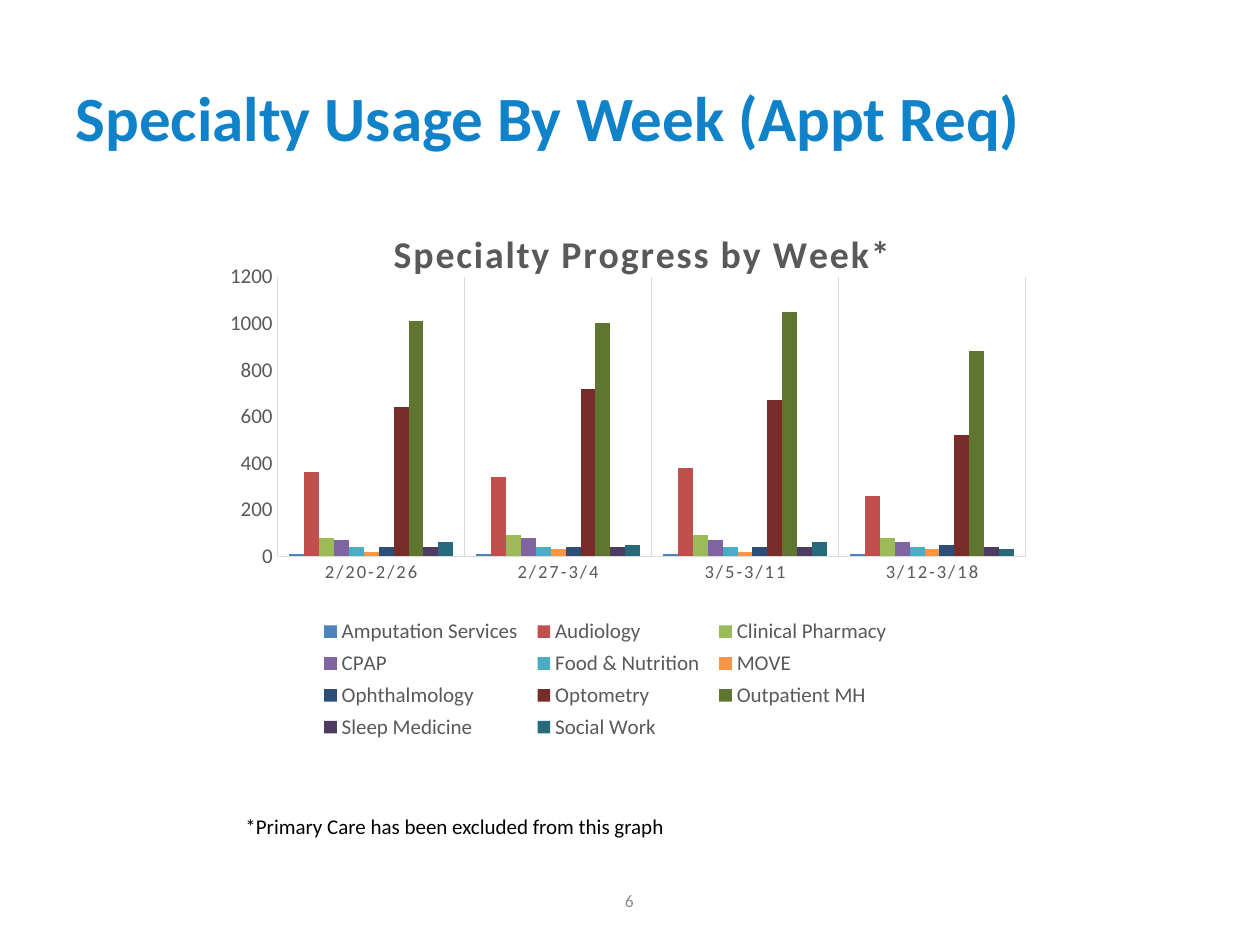
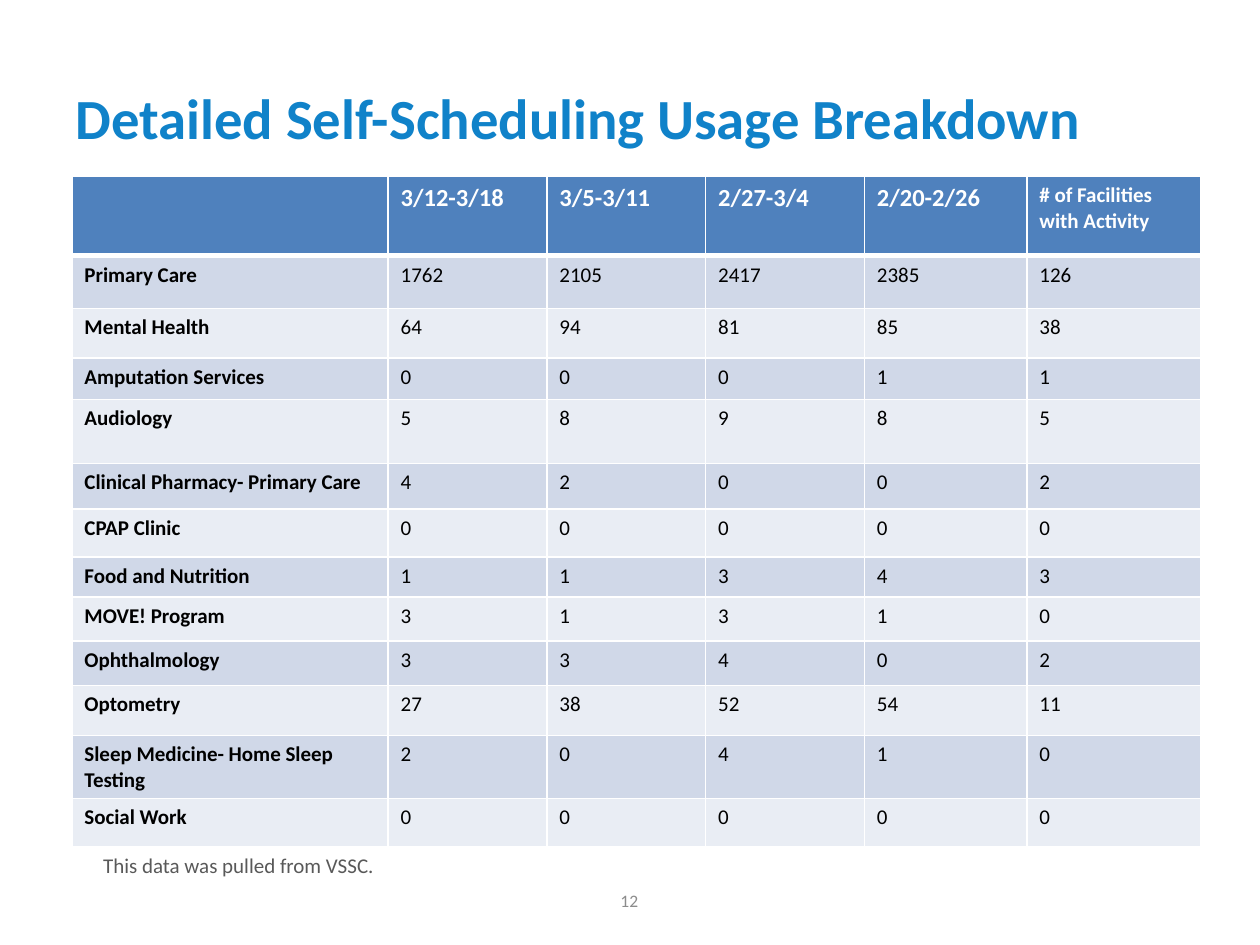
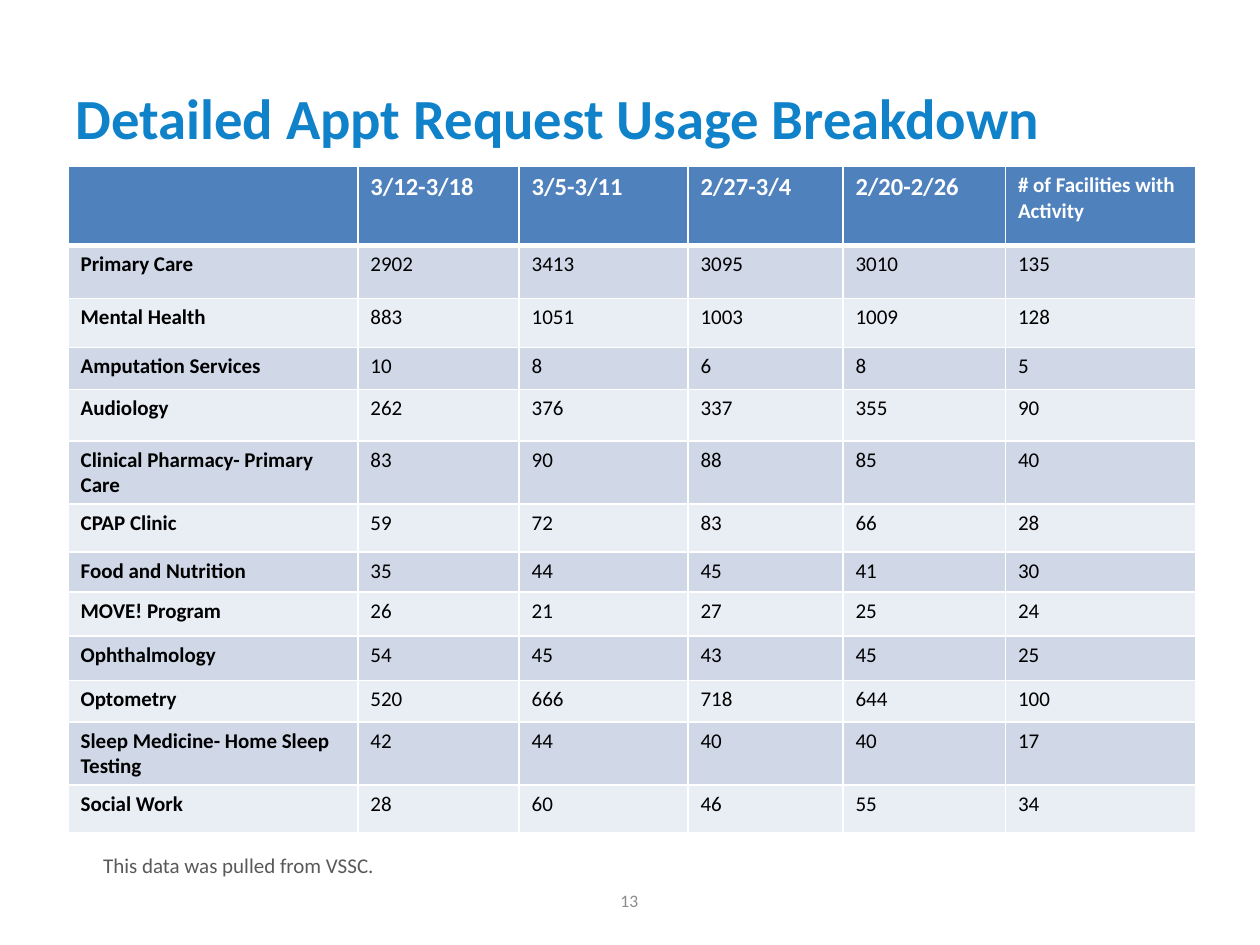
from dataclasses import dataclass

from lxml.etree import SubElement
from pptx import Presentation
from pptx.chart.data import CategoryChartData
from pptx.dml.color import RGBColor
from pptx.enum.chart import XL_CHART_TYPE, XL_LEGEND_POSITION, XL_TICK_MARK
from pptx.enum.text import MSO_ANCHOR, MSO_AUTO_SIZE, PP_ALIGN
from pptx.oxml.ns import qn
from pptx.util import Inches, Pt

FONT = "Calibri"
COLORS = {
    "title": "1082C9", "number": "8C8C8C", "muted": "595959", "black": "000000",
    "white": "FFFFFF", "rule": "D9D9D9", "header": "4F81BD",
    "band": "D0D8E8", "light": "E9EDF4",
}
WEEKS = ("2/20-2/26", "2/27-3/4", "3/5-3/11", "3/12-3/18")
HEADERS = ("", *reversed(WEEKS), "# of Facilities with Activity")
HEADER_HEIGHT = 0.63
SERVICES = {
    "Primary Care": 0.42,
    "Mental Health": 0.39,
    "Amputation Services": 0.33,
    "Audiology": 0.41,
    "Clinical Pharmacy- Primary Care": 0.36,
    "CPAP Clinic": 0.38,
    "Food and Nutrition": 0.32,
    "MOVE! Program": 0.35,
    "Ophthalmology": 0.35,
    "Optometry": 0.33,
    "Sleep Medicine- Home Sleep Testing": 0.33,
    "Social Work": 0.38,
}


@dataclass(frozen=True)
class Series:
    """One specialty in the weekly chart."""
    name: str
    values: tuple[int, ...]
    color: str


@dataclass(frozen=True)
class Breakdown:
    """One slide with a usage table."""
    title: str
    number: int
    left: float
    top: float
    widths: tuple[float, ...]
    taller: dict[str, float]
    counts: tuple[tuple[int, ...], ...]


SPECIALTIES = (
    Series("Amputation Services", (10, 10, 10, 10), "4F81BD"),
    Series("Audiology", (360, 340, 380, 260), "C0504D"),
    Series("Clinical Pharmacy", (80, 90, 90, 80), "9BBB59"),
    Series("CPAP", (70, 80, 70, 60), "8064A2"),
    Series("Food & Nutrition", (40, 40, 40, 40), "4BACC6"),
    Series("MOVE", (20, 30, 20, 30), "F79646"),
    Series("Ophthalmology", (40, 40, 40, 50), "2C4D75"),
    Series("Optometry", (640, 720, 670, 520), "772C2A"),
    Series("Outpatient MH", (1010, 1000, 1050, 880), "5F7530"),
    Series("Sleep Medicine", (40, 40, 40, 40), "4D3B62"),
    Series("Social Work", (60, 50, 60, 30), "276A7C"),
)

BREAKDOWNS = (
    Breakdown(
        "Detailed Self-Scheduling Usage Breakdown", 12, 0.57, 1.4,
        (2.51, 1.26, 1.26, 1.26, 1.29, 1.38), {"Audiology": 0.51, "Optometry": 0.4},
        (
            (1762, 2105, 2417, 2385, 126),
            (64, 94, 81, 85, 38),
            (0, 0, 0, 1, 1),
            (5, 8, 9, 8, 5),
            (4, 2, 0, 0, 2),
            (0, 0, 0, 0, 0),
            (1, 1, 3, 4, 3),
            (3, 1, 3, 1, 0),
            (3, 3, 4, 0, 2),
            (27, 38, 52, 54, 11),
            (2, 0, 4, 1, 0),
            (0, 0, 0, 0, 0),
        ),
    ),
    Breakdown(
        "Detailed Appt Request Usage Breakdown", 13, 0.54, 1.32,
        (2.3, 1.28, 1.34, 1.23, 1.29, 1.51), {},
        (
            (2902, 3413, 3095, 3010, 135),
            (883, 1051, 1003, 1009, 128),
            (10, 8, 6, 8, 5),
            (262, 376, 337, 355, 90),
            (83, 90, 88, 85, 40),
            (59, 72, 83, 66, 28),
            (35, 44, 45, 41, 30),
            (26, 21, 27, 25, 24),
            (54, 45, 43, 45, 25),
            (520, 666, 718, 644, 100),
            (42, 44, 40, 40, 17),
            (28, 60, 46, 55, 34),
        ),
    ),
)


def rgb(value: str) -> RGBColor:
    """Look up a named colour, or read a hex string."""
    return RGBColor.from_string(COLORS.get(value, value))


def style(font, size: float, color: str, bold: bool = False) -> None:
    """Format a font."""
    font.name = FONT
    font.size = Pt(size)
    font.bold = bold
    font.color.rgb = rgb(color)


def add_text(s, text: str, box: tuple[float, ...], size: float, color: str):
    """Add a one-line text box and return its text frame."""
    tf = s.shapes.add_textbox(*map(Inches, box)).text_frame
    tf.word_wrap = True
    tf.text = text
    style(tf.paragraphs[0].runs[0].font, size, color)
    return tf


def add_slide(prs, title: str, size: float, number: int):
    """Add a slide with its title and page number."""
    s = prs.slides.add_slide(prs.slide_layouts[5])
    sp = s.shapes.title
    sp.left, sp.top, sp.width, sp.height = map(Inches, (0.5, 0.3, 9, 1.25))
    tf = sp.text_frame
    tf.text = title
    tf.auto_size = MSO_AUTO_SIZE.NONE
    tf.vertical_anchor = MSO_ANCHOR.MIDDLE
    p = tf.paragraphs[0]
    p.alignment = PP_ALIGN.LEFT
    style(p.runs[0].font, size, "title", True)
    footer = add_text(s, str(number), (3.83, 6.95, 2.33, 0.4), 10, "number")
    footer.vertical_anchor = MSO_ANCHOR.MIDDLE
    footer.paragraphs[0].alignment = PP_ALIGN.CENTER
    return s


def place(element, **fractions: float) -> None:
    """Give a chart part a manual layout in fractions of the chart."""
    for old in element.findall(qn("c:layout")):
        element.remove(old)
    layout = SubElement(element, qn("c:layout"))
    manual = SubElement(layout, qn("c:manualLayout"))
    if element.tag == qn("c:plotArea"):
        SubElement(manual, qn("c:layoutTarget")).set("val", "inner")
    for axis in "xy":
        SubElement(manual, qn(f"c:{axis}Mode")).set("val", "edge")
    for key, value in fractions.items():
        SubElement(manual, qn(f"c:{key}")).set("val", str(value))
    before = {"title": "c:tx", "legend": "c:legendPos"}
    tag = before.get(element.tag.split("}")[1])
    element.insert(element.index(element.find(qn(tag))) + 1 if tag else 0, layout)


def add_weekly_chart(s) -> None:
    """Add the clustered columns of specialty use by week."""
    data = CategoryChartData()
    data.categories = WEEKS
    for series in SPECIALTIES:
        data.add_series(series.name, series.values)
    box = map(Inches, (1.67, 1.53, 6.67, 4.44))
    chart = s.shapes.add_chart(XL_CHART_TYPE.COLUMN_CLUSTERED, *box, data).chart
    style(chart.font, 10, "black")

    chart.has_title = True
    tf = chart.chart_title.text_frame
    tf.text = "Specialty Progress by Week*"
    r = tf.paragraphs[0].runs[0]
    style(r.font, 21.6, "muted", True)
    r.font._element.set("spc", "100")
    chart.chart_title.include_in_layout = False

    plot = chart.plots[0]
    plot.gap_width = 150
    plot.overlap = 0
    plot.vary_by_categories = False
    for drawn, series in zip(plot.series, SPECIALTIES):
        drawn.format.fill.solid()
        drawn.format.fill.fore_color.rgb = rgb(series.color)

    weeks, usage = chart.category_axis, chart.value_axis
    weeks.has_major_gridlines, usage.has_major_gridlines = True, False
    usage.minimum_scale, usage.maximum_scale, usage.major_unit = 0, 1200, 200
    for axis, size in ((weeks, 10.6), (usage, 12)):
        axis.major_tick_mark = axis.minor_tick_mark = XL_TICK_MARK.NONE
        style(axis.tick_labels.font, size, "muted")
    weeks._element.find(".//" + qn("a:defRPr")).set("spc", "120")
    for part in (weeks, usage, weeks.major_gridlines):
        part.format.line.color.rgb = rgb("rule")
        part.format.line.width = Pt(0.75)

    chart.has_legend = True
    chart.legend.position = XL_LEGEND_POSITION.TOP
    chart.legend.include_in_layout = False
    style(chart.legend.font, 12, "muted")
    place(chart.chart_title._element, x=0.21, y=0.05)
    place(plot._element.getparent(), x=0.08, y=0.15, w=0.89, h=0.5)
    place(chart.legend._element, x=0.12, y=0.75, w=0.7, h=0.24)


def border_cell(cell, top: float, bottom: float) -> None:
    """Draw white borders around a cell."""
    tc_pr = cell._tc.get_or_add_tcPr()
    for side, width in (("L", 1), ("R", 1), ("T", top), ("B", bottom)):
        line = SubElement(tc_pr, qn(f"a:ln{side}"), w=str(Pt(width)))
        fill = SubElement(line, qn("a:solidFill"))
        SubElement(fill, qn("a:srgbClr"), val=COLORS["white"])


def add_usage_table(s, b: Breakdown) -> None:
    """Add the banded table of use by service and week."""
    rows = [HEADERS, *((name, *row) for name, row in zip(SERVICES, b.counts))]
    heights = [HEADER_HEIGHT, *(SERVICES | b.taller).values()]
    box = map(Inches, (b.left, b.top, sum(b.widths), sum(heights)))
    table = s.shapes.add_table(len(rows), len(HEADERS), *box).table
    for column, width in zip(table.columns, b.widths):
        column.width = Inches(width)
    for i, (row, height) in enumerate(zip(rows, heights)):
        table.rows[i].height = Inches(height)
        fill = "header" if i == 0 else "band" if i % 2 else "light"
        for j, value in enumerate(row):
            cell = table.cell(i, j)
            border_cell(cell, 3 if i == 1 else 1, 3 if i == 0 else 1)
            cell.fill.solid()
            cell.fill.fore_color.rgb = rgb(fill)
            cell.text = str(value)
            size = 14 if i == 0 and j < len(row) - 1 else 12
            color = "black" if i else "white"
            style(cell.text_frame.paragraphs[0].font, size, color, i == 0 or j == 0)
            for r in cell.text_frame.paragraphs[0].runs:
                style(r.font, size, color, i == 0 or j == 0)


def main() -> None:
    """Build the three usage slides."""
    prs = Presentation()
    prs.slide_width, prs.slide_height = Inches(10), Inches(7.5)
    s = add_slide(prs, "Specialty Usage By Week (Appt Req)", 36, 6)
    add_weekly_chart(s)
    note = "*Primary Care has been excluded from this graph"
    add_text(s, note, (1.85, 6.41, 7.93, 0.3), 12, "black")
    for b in BREAKDOWNS:
        s = add_slide(prs, b.title, 32.4, b.number)
        add_usage_table(s, b)
        note = "This data was pulled from VSSC."
        add_text(s, note, (0.72, 6.72, 8.7, 0.3), 12, "muted")
    prs.save("out.pptx")


if __name__ == "__main__":
    main()
